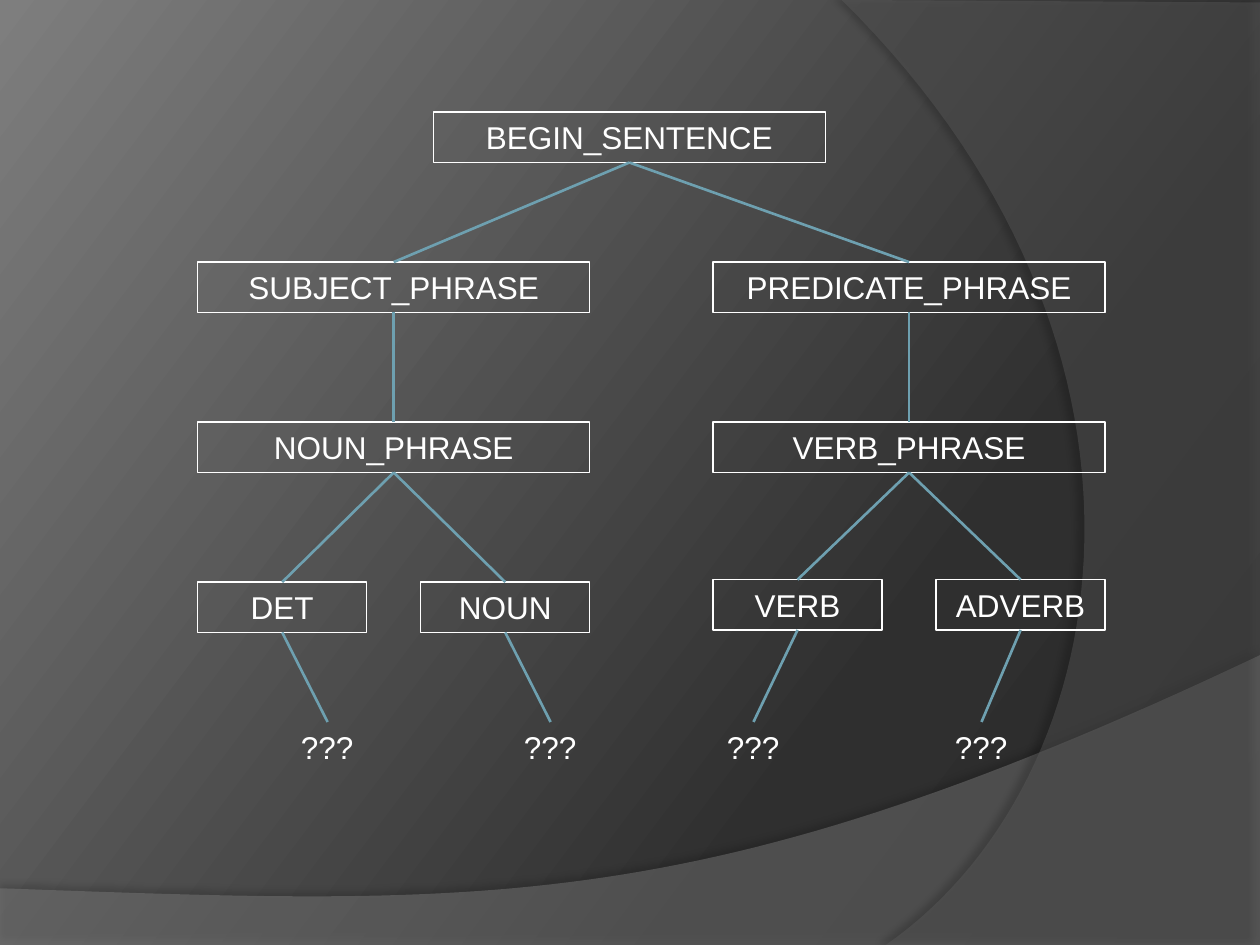
"""Build a slide with a sentence grammar tree on a dark swept background."""
from copy import deepcopy
from dataclasses import dataclass

from lxml import etree
from pptx import Presentation
from pptx.dml.color import RGBColor
from pptx.enum.shapes import MSO_CONNECTOR, MSO_SHAPE
from pptx.enum.text import MSO_AUTO_SIZE, PP_ALIGN
from pptx.oxml.ns import qn
from pptx.util import Inches, Pt

RECT = MSO_SHAPE.RECTANGLE
LINE = MSO_CONNECTOR.STRAIGHT
GROW = MSO_AUTO_SIZE.SHAPE_TO_FIT_TEXT
CENTER = PP_ALIGN.CENTER
Point = tuple[float, float]


@dataclass(frozen=True)
class Theme:
    font: str = "Arial"
    size: float = 18
    ink: str = "FFFFFF"
    link: str = "6EA0B0"
    wave: str = "7F7F7F"
    arc: str = "5E5E5E"
    shade: str = "000000"
    border: float = 0.75
    stroke: float = 1.5
    stops: tuple = ((0, "282828"), (0.3, "2F2F2F"), (1, "7E7E7E"))
    angle: float = 143


@dataclass(frozen=True)
class Node:
    text: str
    left: float
    top: float
    width: float
    kids: tuple["Node", ...] = ()
    boxed: bool = True
    height: float = 0.4

    @property
    def mid(self) -> float:
        return self.left + self.width / 2


@dataclass(frozen=True)
class Sweep:
    color: str
    alpha: int
    corners: tuple[Point, ...]
    curve: tuple[Point, Point, Point]
    shade: int
    gap: float
    turn: int


THEME = Theme()
WIDE, SLIM = 3.11, 1.34
WEST, EAST = 1.57, 5.66
INNER = WIDE - SLIM
ROWS = (0.89, 2.08, 3.35)
LEAF = 5.73


def word(text: str, left: float, top: float, leaf: float) -> Node:
    mark = Node("???", leaf, LEAF, 0.62, boxed=False)
    return Node(text, left, top, SLIM, (mark,))


TREE = Node("BEGIN_SENTENCE", 3.44, ROWS[0], WIDE, (
    Node("SUBJECT_PHRASE", WEST, ROWS[1], WIDE, (
        Node("NOUN_PHRASE", WEST, ROWS[2], WIDE, (
            word("DET", WEST, 4.62, 2.29),
            word("NOUN", WEST + INNER, 4.62, 4.06))),)),
    Node("PREDICATE_PHRASE", EAST, ROWS[1], WIDE, (
        Node("VERB_PHRASE", EAST, ROWS[2], WIDE, (
            word("VERB", EAST, 4.6, 5.67),
            word("ADVERB", EAST + INNER, 4.6, 7.48))),)),
))

SWEEPS = (
    Sweep(THEME.wave, 45, ((0, 7.05), (0, 7.5), (10, 7.5), (10, 5.2)),
          ((5.59, 7.29), (3.91, 7.19), (0, 7.05)), 35, 3.5, 270),
    Sweep(THEME.arc, 40, ((10, 0.02), (10, 7.5), (7.03, 7.5)),
          ((8.91, 6.19), (9.47, 2.75), (6.68, 0)), 45, 4, 180),
)


def rgb(color: str) -> RGBColor:
    return RGBColor.from_string(color)


def fade(node, alpha: int) -> None:
    etree.SubElement(node, qn("a:alpha"), val=str(alpha * 1000))


def bend(start: Point, curve: tuple, steps: int = 60) -> list[Point]:
    points = []
    for step in range(1, steps + 1):
        t = step / steps
        u = 1 - t
        rates = (u ** 3, 3 * u * u * t, 3 * u * t * t, t ** 3)
        knots = (start, *curve)
        points.append(tuple(sum(r * k[i] for r, k in zip(rates, knots))
                            for i in (0, 1)))
    return points


def paint(slide) -> None:
    fill = slide.background.fill
    fill.gradient()
    fill.gradient_angle = THEME.angle
    first = fill.gradient_stops[0]._gs
    first.addnext(deepcopy(first))
    for stop, (place, color) in zip(fill.gradient_stops, THEME.stops):
        stop.position = place
        stop.color.rgb = rgb(color)


def sweep(slide, item: Sweep) -> None:
    points = [*item.corners, *bend(item.corners[-1], item.curve)]
    spots = [(Inches(x), Inches(y)) for x, y in points]
    pen = slide.shapes.build_freeform(*spots[0], scale=1.0)
    pen.add_line_segments(spots[1:], close=True)
    shape = pen.convert_to_shape()
    shape.fill.solid()
    shape.fill.fore_color.rgb = rgb(item.color)
    shape.line.fill.background()
    shape.shadow.inherit = False
    props = shape._element.spPr
    fade(props.find(qn("a:solidFill")).find(qn("a:srgbClr")), item.alpha)
    shade = etree.SubElement(
        props.find(qn("a:effectLst")), qn("a:outerShdw"),
        blurRad=str(Pt(4)), dist=str(Pt(item.gap)),
        dir=str(item.turn * 60000), algn="ctr", rotWithShape="0")
    fade(etree.SubElement(shade, qn("a:srgbClr"), val=THEME.shade), item.shade)


def label(slide, node: Node) -> None:
    area = [Inches(n) for n in (node.left, node.top, node.width, node.height)]
    if node.boxed:
        shape = slide.shapes.add_shape(RECT, *area)
        shape.shadow.inherit = False
        shape.fill.background()
        shape.line.color.rgb = rgb(THEME.ink)
        shape.line.width = Pt(THEME.border)
    else:
        shape = slide.shapes.add_textbox(*area)
    frame = shape.text_frame
    frame.text = node.text
    frame.word_wrap = node.boxed
    frame.auto_size = GROW
    para = frame.paragraphs[0]
    if node.boxed:
        para.alignment = CENTER
    font = para.runs[0].font
    font.name, font.size = THEME.font, Pt(THEME.size)
    font.color.rgb = rgb(THEME.ink)


def link(slide, node: Node, kid: Node) -> None:
    ends = (node.mid, node.top + node.height, kid.mid, kid.top)
    line = slide.shapes.add_connector(LINE, *[Inches(n) for n in ends])
    line.line.color.rgb = rgb(THEME.link)
    line.line.width = Pt(THEME.stroke)
    etree.SubElement(line._element.spPr, qn("a:effectLst"))


def walk(node: Node) -> list[Node]:
    return [node] + [sub for kid in node.kids for sub in walk(kid)]


def main() -> None:
    deck = Presentation()
    deck.slide_width, deck.slide_height = Inches(10), Inches(7.5)
    slide = deck.slides.add_slide(deck.slide_layouts[6])
    paint(slide)
    for item in SWEEPS:
        sweep(slide, item)
    nodes = walk(TREE)
    for node in nodes:
        label(slide, node)
    for node in nodes:
        for kid in node.kids:
            link(slide, node, kid)
    deck.save("out.pptx")


main()
